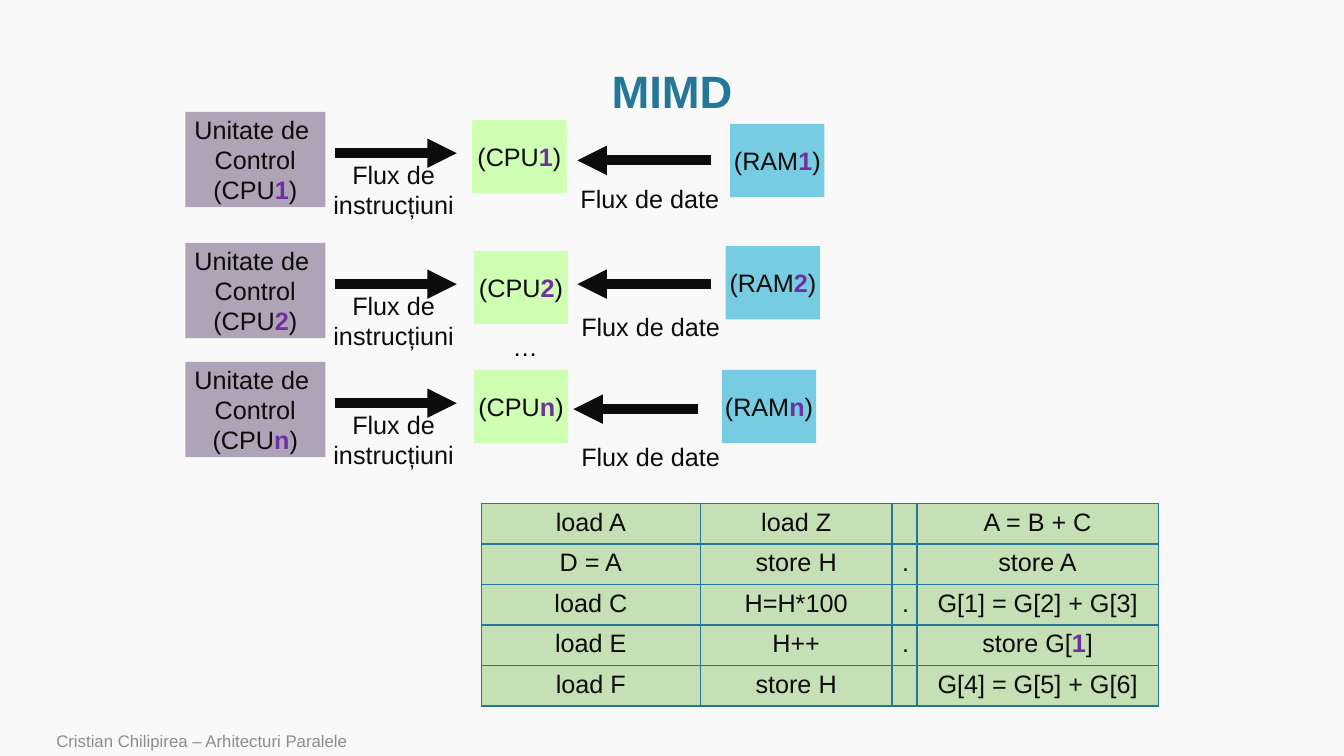
"""Build the MIMD slide: three control, processor and memory lanes above an instruction table."""
from lxml import etree
from pptx import Presentation
from pptx.dml.color import RGBColor
from pptx.enum.shapes import MSO_CONNECTOR, MSO_SHAPE
from pptx.enum.text import MSO_ANCHOR, PP_ALIGN
from pptx.oxml import parse_xml
from pptx.oxml.ns import nsdecls, qn
from pptx.util import Cm, Pt

LEFT, CENTER = PP_ALIGN.LEFT, PP_ALIGN.CENTER
TOP, MIDDLE, BOTTOM = MSO_ANCHOR.TOP, MSO_ANCHOR.MIDDLE, MSO_ANCHOR.BOTTOM
RECT, LINE = MSO_SHAPE.RECTANGLE, MSO_CONNECTOR.STRAIGHT
HEX = {
    "back": "F9F9F9", "title": "247798", "text": "0C0C0C", "mark": "7030A0",
    "unit": "AEA3B7", "cpu": "CFFFB3", "ram": "78CCE2", "cell": "C5E0B4",
    "foot": "8C8C8C",
}
RGB = {name: RGBColor.from_string(code) for name, code in HEX.items()}


def write(frame, text, size=18, color="text", bold=False, align=CENTER):
    """Fill a frame line by line; pieces between bars are bold and marked."""
    for row, line in enumerate(text.split("\n")):
        para = frame.add_paragraph() if row else frame.paragraphs[0]
        para.alignment = align
        para.font.size = Pt(size)
        for part, piece in enumerate(line.split("|")):
            run = para.add_run()
            run.text = piece
            font = run.font
            font.name, font.size = "Arial", Pt(size)
            font.bold = bold or part % 2 == 1
            font.color.rgb = RGB["mark" if part % 2 else color]


def place(box, text, fill=None, anchor=TOP, wrap=False, **look):
    """Add a text box, or a filled rectangle when a fill is given."""
    spot = [Cm(length) for length in box]
    if fill:
        shape = slide.shapes.add_shape(RECT, *spot)
        shape.shadow.inherit = False
        shape.fill.solid()
        shape.fill.fore_color.rgb = RGB[fill]
        shape.line.fill.background()
    else:
        shape = slide.shapes.add_textbox(*spot)
    frame = shape.text_frame
    frame.word_wrap = wrap
    frame.vertical_anchor = anchor
    write(frame, text, **look)
    return shape


deck = Presentation()
deck.slide_width, deck.slide_height = Cm(33.87), Cm(19.05)
slide = deck.slides.add_slide(deck.slide_layouts[6])
slide.background.fill.solid()
slide.background.fill.fore_color.rgb = RGB["back"]

title = place((5.11, 1.73, 23.65, 1.27), "MIMD", anchor=MIDDLE, wrap=True,
              size=32.4, color="title", bold=True)
title.text_frame.paragraphs[0].line_spacing = 0.9

# name, lane top, cpu left, ram left and top, data arrow start, end and y, data label left and top
lanes = [
    ("1", 2.82, 11.9, (18.4, 3.12), (17.91, 14.55, 4.04), (14.38, 4.5)),
    ("2", 6.12, 11.94, (18.29, 6.2), (17.93, 14.55, 7.16), (14.4, 7.72)),
    ("n", 9.12, 11.94, (18.19, 9.32), (17.6, 14.45, 10.31), (14.4, 11)),
]
for name, top, left, ram, data, label in lanes:
    place((8.13, top + 1.07, 3.58, 1.8), "Flux de\ninstrucțiuni")
    place((*label, 4.04, 1.02), "Flux de date", align=LEFT)
    place((4.67, top, 3.53, 2.4), f"Unitate de \nControl\n(CPU|{name}|)", "unit", MIDDLE)
    place((left, top + 0.2, 2.38, 1.85), f"(CPU|{name}|)", "cpu", MIDDLE)
    place((*ram, 2.38, 1.85), f"(RAM|{name}|)", "ram", MIDDLE)
    for start, end, y in [(8.43, 11.51, top + 1.04), data]:
        arrow = slide.shapes.add_connector(LINE, Cm(start), Cm(y), Cm(end), Cm(y))
        arrow.line.color.rgb = RGB["text"]
        arrow.line.width = Pt(7)
        etree.SubElement(arrow.line._get_or_add_ln(), qn("a:tailEnd"), type="triangle")
        etree.SubElement(arrow._element.spPr, qn("a:effectLst"))

place((12.67, 8.23, 1.14, 1.02), "…", align=LEFT)

code = [
    ("load A", "load Z", "", "A = B + C"),
    ("D = A", "store H", ".", "store A"),
    ("load C", "H=H*100", ".", "G[1] = G[2] + G[3]"),
    ("load E", "H++", ".", "store G[|1|]"),
    ("load F", "store H", "", "G[4] = G[5] + G[6]"),
]
widths = (5.52, 4.83, 0.63, 6.08)
grid = slide.shapes.add_table(len(code), len(widths), Cm(12.13), Cm(12.69),
                              Cm(sum(widths)), Cm(1.02 * len(code))).table
grid.first_row = grid.horz_banding = False
for column, width in zip(grid.columns, widths):
    column.width = Cm(width)
for row, words in enumerate(code):
    grid.rows[row].height = Cm(1.02)
    for col, word in enumerate(words):
        cell = grid.cell(row, col)
        cell.fill.solid()
        cell.fill.fore_color.rgb = RGB["cell"]
        write(cell.text_frame, word)
        for index, side in enumerate("LRTB"):
            cell._tc.tcPr.insert(index, parse_xml(
                f'<a:ln{side} {nsdecls("a")} w="12700"><a:solidFill>'
                f'<a:srgbClr val="{HEX["title"]}"/></a:solidFill></a:ln{side}>'))

place((1.17, 18.34, 24.94, 0.71), "Cristian Chilipirea – Arhitecturi Paralele",
      anchor=BOTTOM, wrap=True, size=12, color="foot", align=LEFT)

deck.save("out.pptx")
